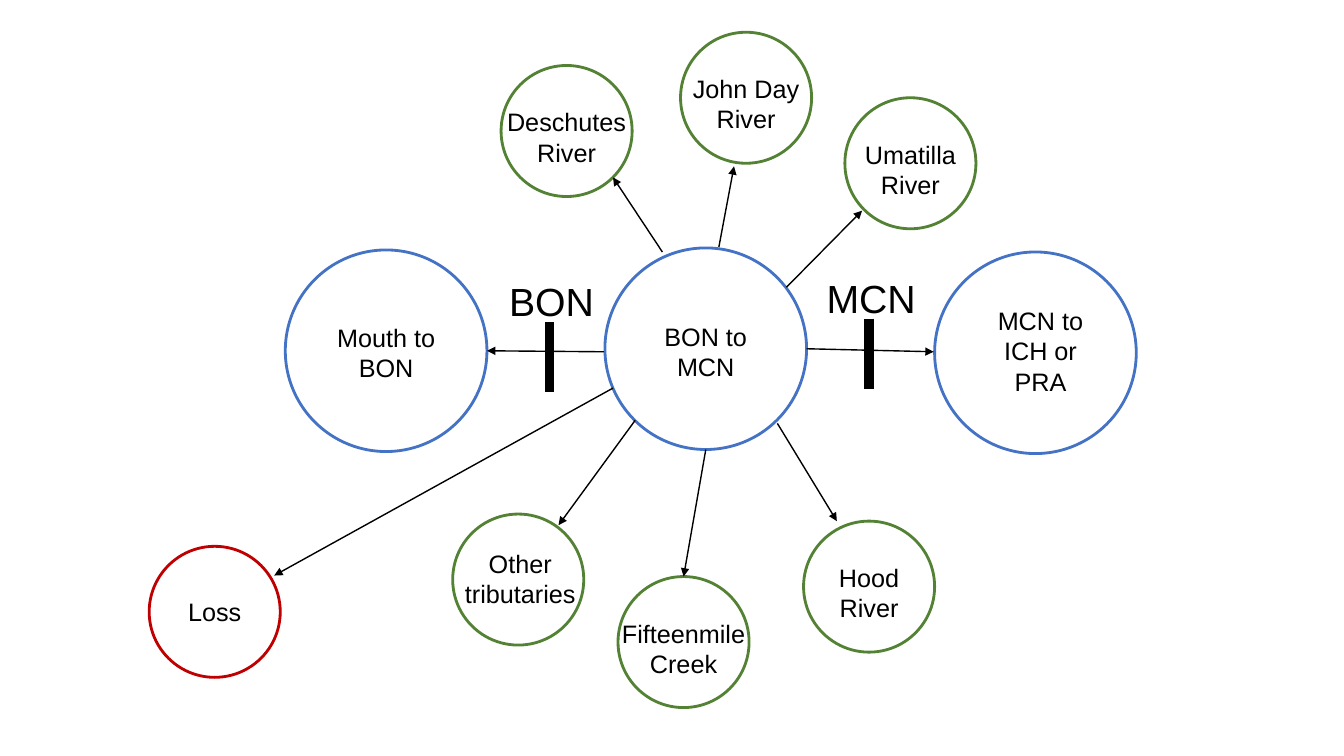
from lxml import etree
from pptx import Presentation
from pptx.dml.color import RGBColor
from pptx.enum.shapes import MSO_CONNECTOR as LINE, MSO_SHAPE as SHAPE
from pptx.enum.text import PP_ALIGN as ALIGN
from pptx.oxml.ns import qn
from pptx.util import Inches, Pt

BLACK = "000000"
REACH = ("4472C4", 2)
TRIBUTARY = ("548235", 1.3)
LOSS = ("C00000", 1.3)

# kind, label, circle left and top, label drop below circle top, label shift right
states = [
    (REACH, "BON to MCN", 6, 2.46, 0.68, 0),
    (REACH, "MCN to ICH or PRA", 9.27, 2.5, 0.48, 0.05),
    (REACH, "Mouth to BON", 2.83, 2.48, 0.67, 0),
    (TRIBUTARY, "John Day\nRiver", 6.75, 0.32, 0.36, 0),
    (TRIBUTARY, "Fifteenmile\nCreek", 6.13, 5.72, 0.36, 0),
    (TRIBUTARY, "Hood River", 7.97, 5.17, 0.36, 0),
    (TRIBUTARY, "Deschutes River", 4.97, 0.65, 0.36, 0),
    (TRIBUTARY, "Umatilla\nRiver", 8.38, 0.97, 0.36, 0),
    (TRIBUTARY, "Other tributaries", 4.49, 5.1, 0.29, 0.02),
    (LOSS, "Loss", 1.48, 5.42, 0.45, 0),
]
movements = [
    ((8, 3.46), (9.26, 3.49)),
    ((7.71, 4.2), (8.3, 5.17)),
    ((7, 4.46), (6.78, 5.72)),
    ((7.13, 2.45), (7.28, 1.65)),
    ((6.57, 2.5), (6.08, 1.76)),
    ((5.99, 3.49), (4.83, 3.48)),
    ((7.8, 2.85), (8.55, 2.09)),
    ((6.3, 4.17), (5.54, 5.21)),
    ((6.08, 3.85), (2.72, 5.71)),
]
dams = [("BON", 5.45, 3.19), ("MCN", 8.62, 3.16)]
DAM_HEIGHT = 0.7
DAM_LABEL_RISE = 0.49
LINE_HEIGHTS = {"Loss": 0.4, "MCN to ICH or PRA": 1.01}

prs = Presentation()
prs.slide_width, prs.slide_height = Inches(13.33), Inches(7.5)
slide = prs.slides.add_slide(prs.slide_layouts[6])
shapes = slide.shapes


def color(hex_string):
    return RGBColor.from_string(hex_string)


def add_label(words, center, top, width, height, size):
    box = shapes.add_textbox(Inches(center - width / 2), Inches(top), Inches(width), Inches(height))
    frame = box.text_frame
    frame.word_wrap = True
    frame.text = words
    for paragraph in frame.paragraphs:
        paragraph.alignment = ALIGN.CENTER
        paragraph.font.name = "Arial"
        paragraph.font.size = Pt(size)
        paragraph.font.color.rgb = color(BLACK)


def add_line(start, end, weight, arrow=False):
    line = shapes.add_connector(LINE.STRAIGHT, *map(Inches, start + end))
    line.line.color.rgb = color(BLACK)
    line.line.width = Pt(weight)
    if arrow:
        etree.SubElement(line.line._get_or_add_ln(), qn("a:tailEnd"), type="triangle")
    etree.SubElement(line._element.spPr, qn("a:effectLst"))


for (outline, diameter), name, left, top, drop, shift in states:
    circle = shapes.add_shape(SHAPE.OVAL, *map(Inches, (left, top, diameter, diameter)))
    circle.shadow.inherit = False
    circle.fill.background()
    circle.line.color.rgb = color(outline)
    circle.line.width = Pt(2)
    add_label(name, left + diameter / 2 + shift, top + drop, 1.44, LINE_HEIGHTS.get(name, 0.71), 18)

for start, end in movements:
    add_line(start, end, 1, arrow=True)

for name, x, top in dams:
    add_line((x, top), (x, top + DAM_HEIGHT), 7)
    add_label(name, x + 0.02, top - DAM_LABEL_RISE, 2.18, 0.57, 28)

prs.save("out.pptx")
